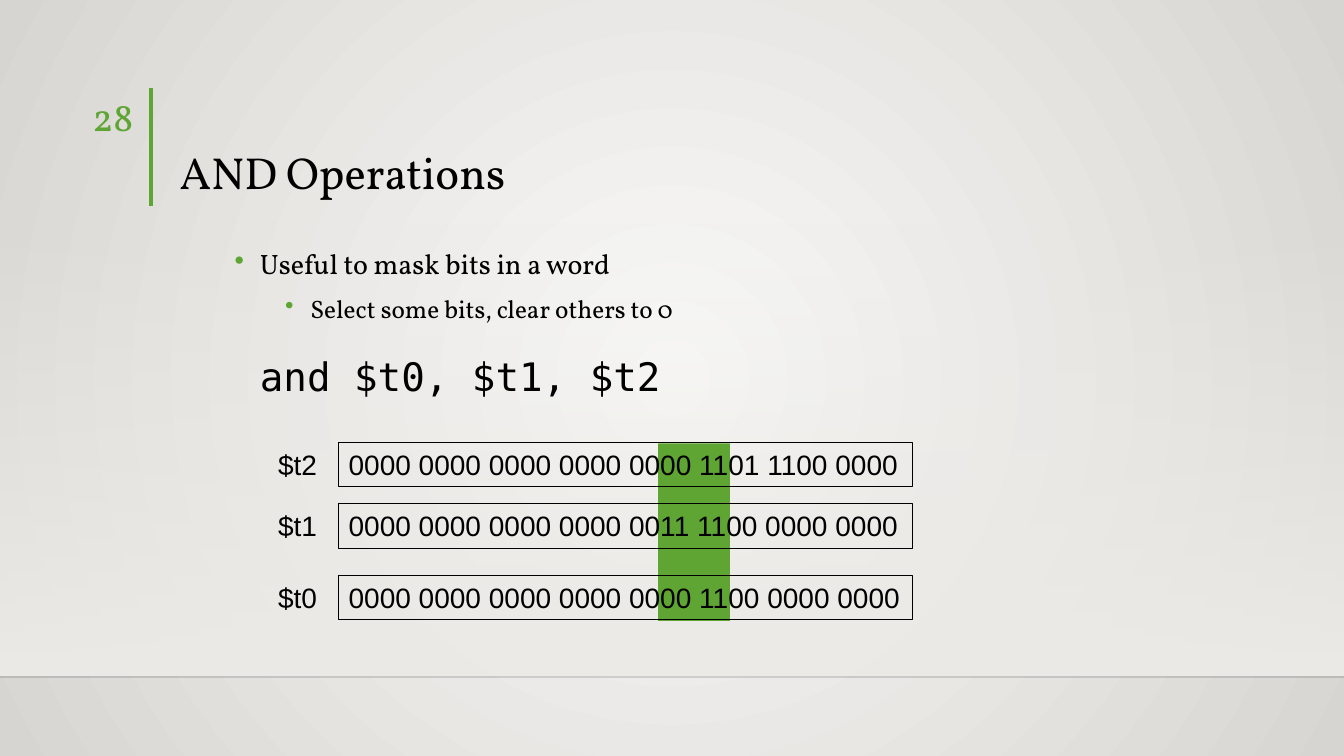
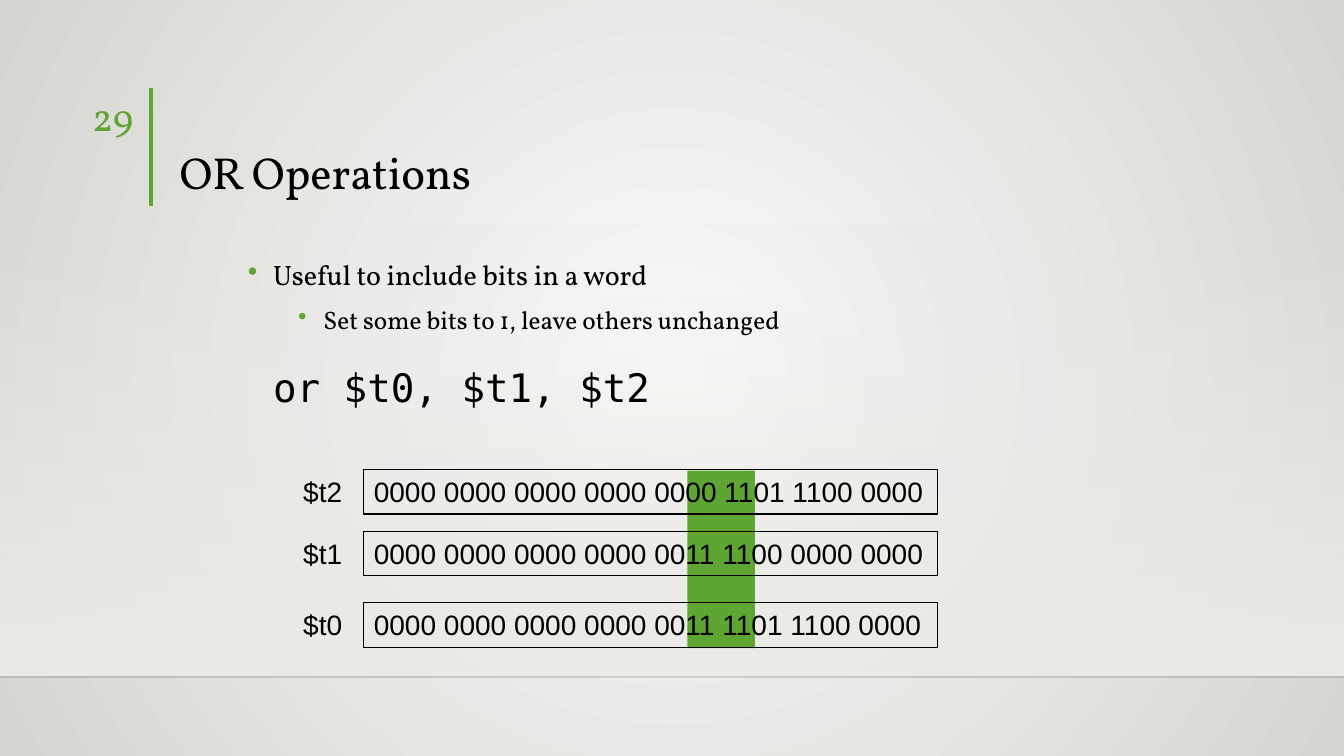
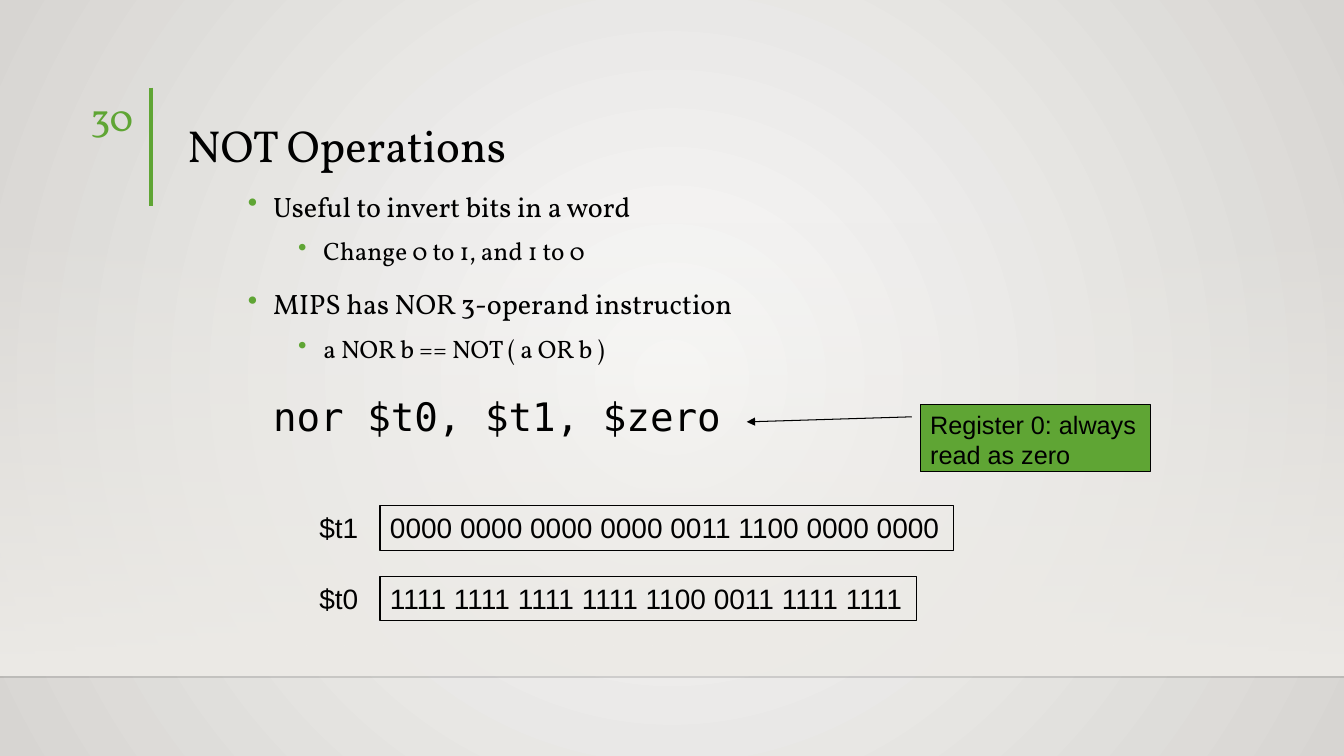
"""Three slides on bitwise operations, laid out on a grid of 80 columns by 45 rows."""
import dataclasses

import pptx
import pptx.dml.color
import pptx.enum.dml
import pptx.enum.shapes
import pptx.enum.text
import pptx.oxml
import pptx.oxml.ns
import pptx.util

COLS, ROWS = 80, 45
WIDE, HIGH = pptx.util.Inches(13.33), pptx.util.Inches(7.5)
KIND = pptx.enum.shapes.MSO_SHAPE
ALIGN = pptx.enum.text.PP_ALIGN
ANCHOR = pptx.enum.text.MSO_ANCHOR
FIT = pptx.enum.text.MSO_AUTO_SIZE


@dataclasses.dataclass(frozen=True)
class Theme:
    """Colours, fonts and type sizes."""
    ink: str = "000000"
    rule: str = "000001"
    green: str = "5FA534"
    band: str = "EDEBE7"
    light: str = "FAFAF9"
    dark: str = "D7D5D2"
    serif: str = "Vollkorn"
    mono: str = "DejaVu Sans Mono"
    sans: str = "Arial"
    title: int = 32
    code: int = 28
    page: int = 28
    main: int = 20
    sub: int = 18
    bits: int = 20
    note: int = 18
    thin: float = 0.75


T = Theme()

STYLES = {
    "main": dict(size=T.main, left=0.25, hang=0.25, before=10, mark="•"),
    "sub": dict(size=T.sub, left=0.75, hang=0.25, before=5, mark="•"),
    "code": dict(size=T.code, font=T.mono, left=0.25, share=(50, 30)),
}

SLIDES = [
    dict(
        page="28", title="AND Operations", head=(10.1, 5.28), body=(13.38, 13.98, 54.3, 10.14),
        lines=[
            ("main", "Useful to mask bits in a word"),
            ("sub", "Select some bits, clear others to 0"),
            ("code", "and $t0, $t1, $t2"),
        ],
        left=20.16, top=26.34, bar=(39.18, 4.26),
        words=[
            ("$t2", "0000 0000 0000 0000 0000 1101 1100 0000", 0, 34.14),
            ("$t1", "0000 0000 0000 0000 0011 1100 0000 0000", 3.66, 34.14),
            ("$t0", "0000 0000 0000 0000 0000 1100 0000 0000", 7.92, 34.14),
        ],
    ),
    dict(
        page="29", title="OR Operations", head=(10.1, 5.28), body=(14.16, 14.64, 54.3, 13.62),
        lines=[
            ("main", "Useful to include bits in a word"),
            ("sub", "Set some bits to 1, leave others unchanged"),
            ("code", "or $t0, $t1, $t2"),
        ],
        left=21.66, top=27.96, bar=(40.92, 4.02),
        words=[
            ("$t2", "0000 0000 0000 0000 0000 1101 1100 0000", 0, 34.14),
            ("$t1", "0000 0000 0000 0000 0011 1100 0000 0000", 3.66, 34.14),
            ("$t0", "0000 0000 0000 0000 0011 1101 1100 0000", 7.92, 34.14),
        ],
    ),
    dict(
        page="30", title="NOT Operations", head=(10.56, 3.66), body=(14.16, 10.56, 54.3, 18.72),
        lines=[
            ("main", "Useful to invert bits in a word"),
            ("sub", "Change 0 to 1, and 1 to 0"),
            ("main", "MIPS has NOR 3-operand instruction"),
            ("sub", "a NOR b == NOT ( a OR b )"),
            ("code", "nor $t0, $t1, $zero"),
        ],
        left=22.62, top=30.12,
        words=[
            ("$t1", "0000 0000 0000 0000 0011 1100 0000 0000", 0, 34.14),
            ("$t0", "1111 1111 1111 1111 1100 0011 1111 1111", 4.2, 31.92),
        ],
        note=("Register 0: always read as zero", (54.78, 24.06, 13.68, 4.02),
              (0.188, -0.037, 0.263, -0.755)),
    ),
]


def grid(*cells):
    """Turn columns and rows, in turn, into lengths."""
    return [round(n * (HIGH / ROWS if i % 2 else WIDE / COLS)) for i, n in enumerate(cells)]


def rgb(code):
    """Give the colour of a hex code."""
    return pptx.dml.color.RGBColor.from_string(code)


def add_xml(node, *texts):
    """Append elements given as text."""
    for text in texts:
        tag, rest = text.split(" ", 1)
        node.append(pptx.oxml.parse_xml(f"<a:{tag} {pptx.oxml.ns.nsdecls('a')} {rest}"))


def blend(fill, first, last):
    """Fill with two stops, running downwards."""
    fill.gradient()
    fill.gradient_angle = 270
    for stop, code, place in zip(fill.gradient_stops, (first, last), (0, 1)):
        stop.color.rgb = rgb(code)
        stop.position = place


def write(frame, text, size=T.main, font=T.serif, color=T.ink, align=ALIGN.LEFT,
          space=None, left=0, hang=0, before=None, share=None, mark=None, more=False):
    """Write one paragraph; more puts it after those already there."""
    para = frame.add_paragraph() if more else frame.paragraphs[0]
    para.alignment = align
    if space:
        para.line_spacing = space
    if before and more:
        para.space_before = pptx.util.Pt(before)
    props = para._p.get_or_add_pPr()
    if left:
        props.set("marL", str(pptx.util.Inches(left)))
        props.set("indent", str(-pptx.util.Inches(hang)))
    if share:
        for tag, part in zip(("spcBef", "spcAft"), share):
            add_xml(props, f'{tag} ><a:spcPct val="{part * 1000}"/></a:{tag}>')
    if mark:
        add_xml(props, f'buClr ><a:srgbClr val="{T.green}"/></a:buClr>', f'buChar char="{mark}"/>')
    run = para.add_run()
    run.text = text
    run.font.size = pptx.util.Pt(size)
    run.font.name = font
    run.font.color.rgb = rgb(color)


def text_box(slide, cells, anchor=ANCHOR.TOP, wrap=True):
    """Add a text box and give its frame."""
    frame = slide.shapes.add_textbox(*grid(*cells)).text_frame
    frame.word_wrap = wrap
    frame.auto_size = FIT.NONE if wrap else FIT.SHAPE_TO_FIT_TEXT
    frame.vertical_anchor = anchor
    return frame


def block(slide, cells, kind=KIND.RECTANGLE, fill=None, line=None):
    """Add a flat shape."""
    shape = slide.shapes.add_shape(kind, *grid(*cells))
    shape.shadow.inherit = False
    if fill:
        shape.fill.solid()
        shape.fill.fore_color.rgb = rgb(fill)
    else:
        shape.fill.background()
    if line:
        shape.line.color.rgb = rgb(line)
        shape.line.width = pptx.util.Pt(T.thin)
    else:
        shape.line.fill.background()
    shape.text_frame.vertical_anchor = ANCHOR.TOP
    return shape


def rule(slide, cells, color, width):
    """Add a straight line."""
    line = slide.shapes.add_connector(pptx.enum.shapes.MSO_CONNECTOR.STRAIGHT, *grid(*cells))
    line.line.color.rgb = rgb(color)
    line.line.width = pptx.util.Pt(width)
    add_xml(line._element.spPr, "effectLst />")
    return line


def base(slide, page):
    """Draw what every slide shares."""
    blend(slide.background.fill, T.light, T.dark)
    wash = slide.element.xpath(".//p:bg//a:gradFill")[0]
    wash.remove(wash.xpath("a:lin")[0])
    add_xml(wash, 'path path="circle"><a:fillToRect l="50000" t="50000" r="50000" b="50000"/></a:path>')
    band = block(slide, (0, 13.2, COLS, 27))
    blend(band.fill, T.band, T.band)
    add_xml(band._element.xpath(".//a:gs//a:srgbClr")[0], 'alpha val="0"/>')
    edge = rule(slide, (0, 40.3, COLS, 40.3), T.rule, 1)
    add_xml(edge._element.xpath(".//a:ln//a:srgbClr")[0], 'alpha val="20000"/>')
    rule(slide, (9, 5.22, 9, 12.24), T.green, 3)
    write(text_box(slide, (3.18, 5.22, 5.34, 3.3)), page, size=T.page, color=T.green,
          align=ALIGN.RIGHT)


def build(slide, data):
    """Draw one slide from its content."""
    base(slide, data["page"])
    head = text_box(slide, (*data["head"], 62.46, 6.9), anchor=ANCHOR.BOTTOM)
    write(head, data["title"], size=T.title, space=0.9)
    body = text_box(slide, data["body"])
    for i, (style, text) in enumerate(data["lines"]):
        write(body, text, space=1.2, more=i > 0, **STYLES[style])
    left, top = data["left"], data["top"]
    if "bar" in data:
        x, wide = data["bar"]
        block(slide, (x, top + 0.06, wide, 10.56), fill=T.green)
    for name, bits, down, wide in data["words"]:
        frame = block(slide, (left, top + down, wide, 2.64), line=T.ink).text_frame
        frame.word_wrap = False
        frame.auto_size = FIT.SHAPE_TO_FIT_TEXT
        label = text_box(slide, (left - 4.2, top + down, 3.54, 2.58), wrap=False)
        for part, text in ((frame, bits), (label, name)):
            write(part, text, size=T.bits, font=T.sans)
    if "note" in data:
        text, cells, bends = data["note"]
        note = block(slide, cells, KIND.LINE_CALLOUT_1, T.green, T.ink)
        for i, bend in enumerate(bends):
            note.adjustments[i] = bend
        add_xml(note.line._get_or_add_ln(), 'tailEnd type="triangle"/>')
        write(note.text_frame, text, size=T.note, font=T.sans)


def main():
    """Build and save the slides."""
    deck = pptx.Presentation()
    deck.slide_width, deck.slide_height = WIDE, HIGH
    for data in SLIDES:
        build(deck.slides.add_slide(deck.slide_layouts[6]), data)
    deck.save("out.pptx")


if __name__ == "__main__":
    main()
